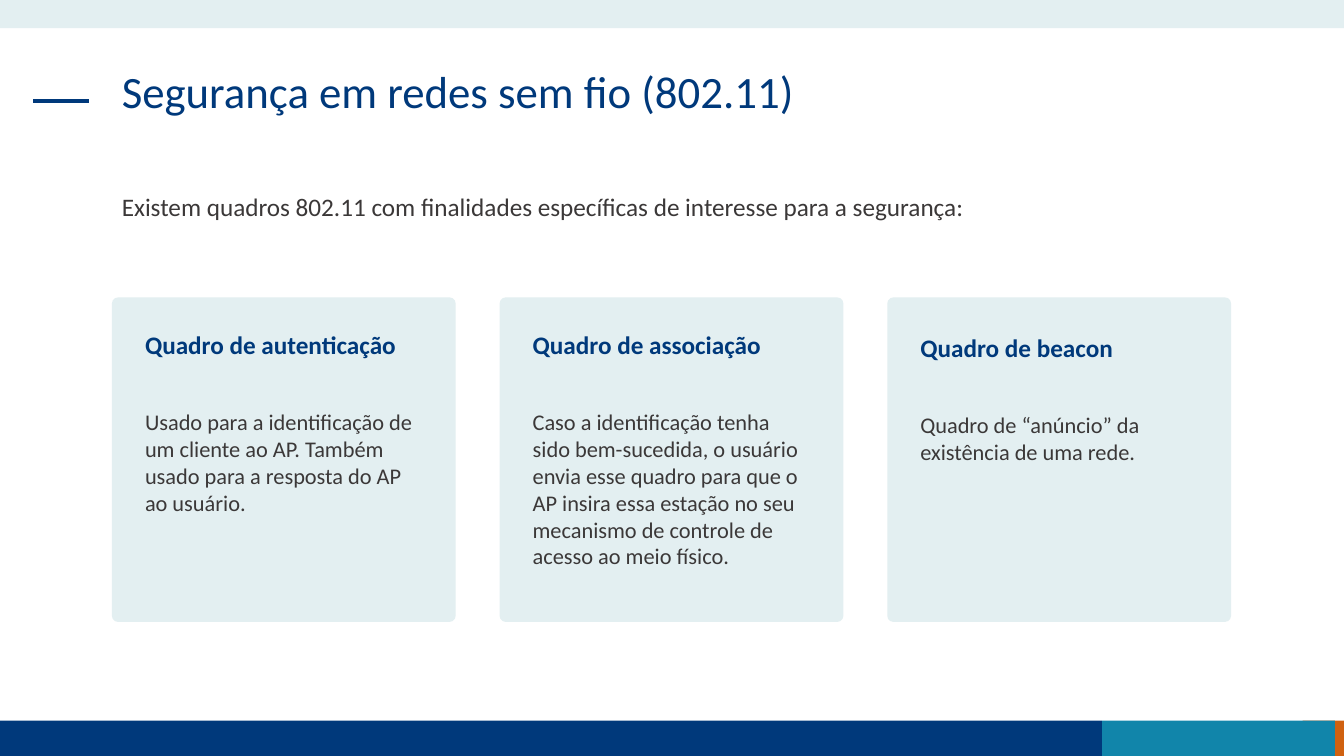
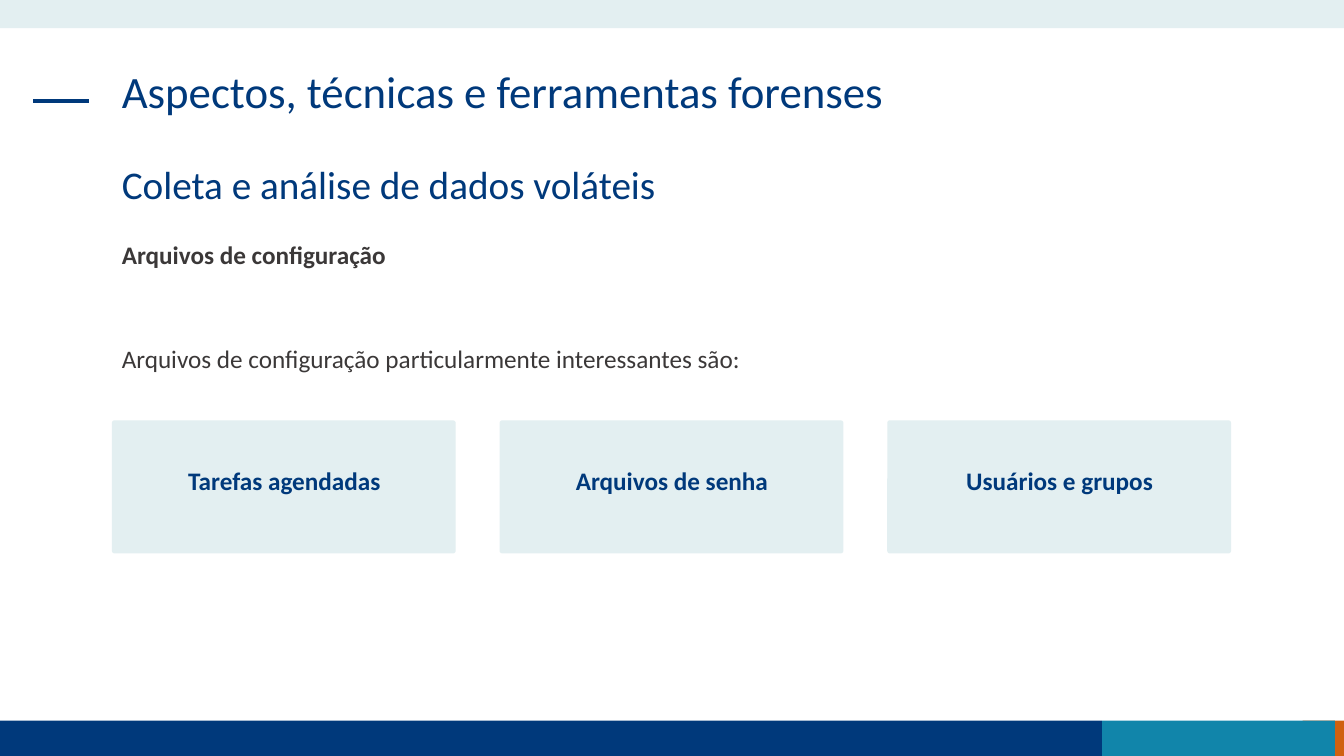
import pptx
import pptx.dml.color
import pptx.enum.shapes
import pptx.enum.text
import pptx.oxml
import pptx.util
from pptx.util import Inches

COLORS = {
    "navy": "00397B",
    "teal": "1185AA",
    "orange": "D06110",
    "pale": "E3EFF1",
    "text": "3B3838",
}
FONT = "Calibri"
SLIDE_WIDTH, SLIDE_HEIGHT = 13.33, 7.5
LEFT, CONTENT_WIDTH = 1.11, 11.1
CARD_WIDTH, CARD_PADDING, CARD_TEXT_WIDTH = 3.41, 0.23, 2.96
CARD_RADIUS = 0.019
LINE_HEIGHT = 0.4

# Bands on every slide: left, top, width, height, color
BANDS = [
    (12.92, 7.15, 0.41, 0.35, "orange"),
    (0, 7.15, 10.93, 0.35, "navy"),
    (10.93, 7.15, 2.31, 0.35, "teal"),
    (0, 0, SLIDE_WIDTH, 0.28, "pale"),
]

# Text styles: size, color, bold, line spacing, box height
STYLES = {
    "title": (32, "navy", False, 0.9, 0.94),
    "subtitle": (28, "navy", False, 0.9, 0.94),
    "lead": (18, "text", False, 1.0, LINE_HEIGHT),
    "topic": (18, "text", True, 1.0, LINE_HEIGHT),
    "heading": (18, "navy", True, 1.0, LINE_HEIGHT),
    "body": (16, "text", False, 1.0, 1.99),
}

# Texts are (style, top, text); cards are (heading, body, text shift)
SLIDES = [
    {
        "texts": [
            ("title", 0.64, "Segurança em redes sem fio (802.11)"),
            ("lead", 1.85, "Existem quadros 802.11 com finalidades específicas "
                           "de interesse para a segurança:"),
        ],
        "card_top": 2.95,
        "card_height": 3.22,
        "heading_offset": 0.27,
        "centered": False,
        "cards": [
            ("Quadro de autenticação",
             "Usado para a identificação de um cliente ao AP. Também usado "
             "para a resposta do AP ao usuário.", 0),
            ("Quadro de associação",
             "Caso a identificação tenha sido bem-sucedida, o usuário envia "
             "esse quadro para que o AP insira essa estação no seu mecanismo "
             "de controle de acesso ao meio físico.", 0),
            ("Quadro de beacon",
             "Quadro de “anúncio” da existência de uma rede.", 0.03),
        ],
    },
    {
        "texts": [
            ("title", 0.64, "Aspectos, técnicas e ferramentas forenses"),
            ("subtitle", 1.59, "Coleta e análise de dados voláteis"),
            ("topic", 2.33, "Arquivos de configuração"),
            ("lead", 3.36, "Arquivos de configuração particularmente "
                           "interessantes são:"),
        ],
        "card_top": 4.17,
        "card_height": 1.32,
        "heading_offset": 0.4,
        "centered": True,
        "cards": [
            ("Tarefas agendadas", None, 0),
            ("Arquivos de senha", None, 0),
            ("Usuários e grupos", None, 0),
        ],
    },
]
BODY_OFFSET = 1.05


def rgb(name):
    return pptx.dml.color.RGBColor.from_string(COLORS[name])


def add_block(slide, kind, left, top, width, height, color):
    shape = slide.shapes.add_shape(
        kind, Inches(left), Inches(top), Inches(width), Inches(height))
    shape.shadow.inherit = False
    shape.fill.solid()
    shape.fill.fore_color.rgb = rgb(color)
    shape.line.fill.background()
    return shape


def add_text(slide, style, left, top, width, text, centered=False):
    size, color, bold, spacing, height = STYLES[style]
    box = slide.shapes.add_textbox(
        Inches(left), Inches(top), Inches(width), Inches(height))
    box.text_frame.word_wrap = True
    paragraph = box.text_frame.paragraphs[0]
    paragraph.text = text
    paragraph.line_spacing = spacing
    if centered:
        paragraph.alignment = pptx.enum.text.PP_ALIGN.CENTER
    paragraph.font.name = FONT
    paragraph.font.size = pptx.util.Pt(size)
    paragraph.font.bold = bold
    paragraph.font.color.rgb = rgb(color)


def add_frame(slide):
    """Draw the bands and the dash beside the title."""
    for left, top, width, height, color in BANDS:
        add_block(slide, pptx.enum.shapes.MSO_SHAPE.RECTANGLE,
                  left, top, width, height, color)
    dash = slide.shapes.add_connector(
        pptx.enum.shapes.MSO_CONNECTOR.STRAIGHT,
        Inches(0.33), Inches(1), Inches(0.88), Inches(1))
    dash.line.color.rgb = rgb("navy")
    dash.line.width = pptx.util.Pt(3)
    properties = dash._element.spPr
    properties.append(pptx.oxml.parse_xml(
        '<a:effectLst xmlns:a='
        '"http://schemas.openxmlformats.org/drawingml/2006/main"/>'))


def add_cards(slide, content):
    """Spread equal cards over the content width."""
    cards = content["cards"]
    pitch = (CONTENT_WIDTH - CARD_WIDTH) / (len(cards) - 1)
    top = content["card_top"]
    for index, (heading, body, shift) in enumerate(cards):
        left = LEFT + index * pitch
        card = add_block(slide, pptx.enum.shapes.MSO_SHAPE.ROUNDED_RECTANGLE,
                         left, top, CARD_WIDTH, content["card_height"], "pale")
        card.adjustments[0] = CARD_RADIUS
        text_left = left + CARD_PADDING
        text_top = top + shift
        add_text(slide, "heading", text_left,
                 text_top + content["heading_offset"], CARD_TEXT_WIDTH,
                 heading, content["centered"])
        if body:
            add_text(slide, "body", text_left, text_top + BODY_OFFSET,
                     CARD_TEXT_WIDTH, body)


def main():
    presentation = pptx.Presentation()
    presentation.slide_width = Inches(SLIDE_WIDTH)
    presentation.slide_height = Inches(SLIDE_HEIGHT)
    for content in SLIDES:
        slide = presentation.slides.add_slide(presentation.slide_layouts[6])
        add_frame(slide)
        for style, top, text in content["texts"]:
            add_text(slide, style, LEFT, top, CONTENT_WIDTH, text)
        add_cards(slide, content)
    presentation.save("out.pptx")


if __name__ == "__main__":
    main()
